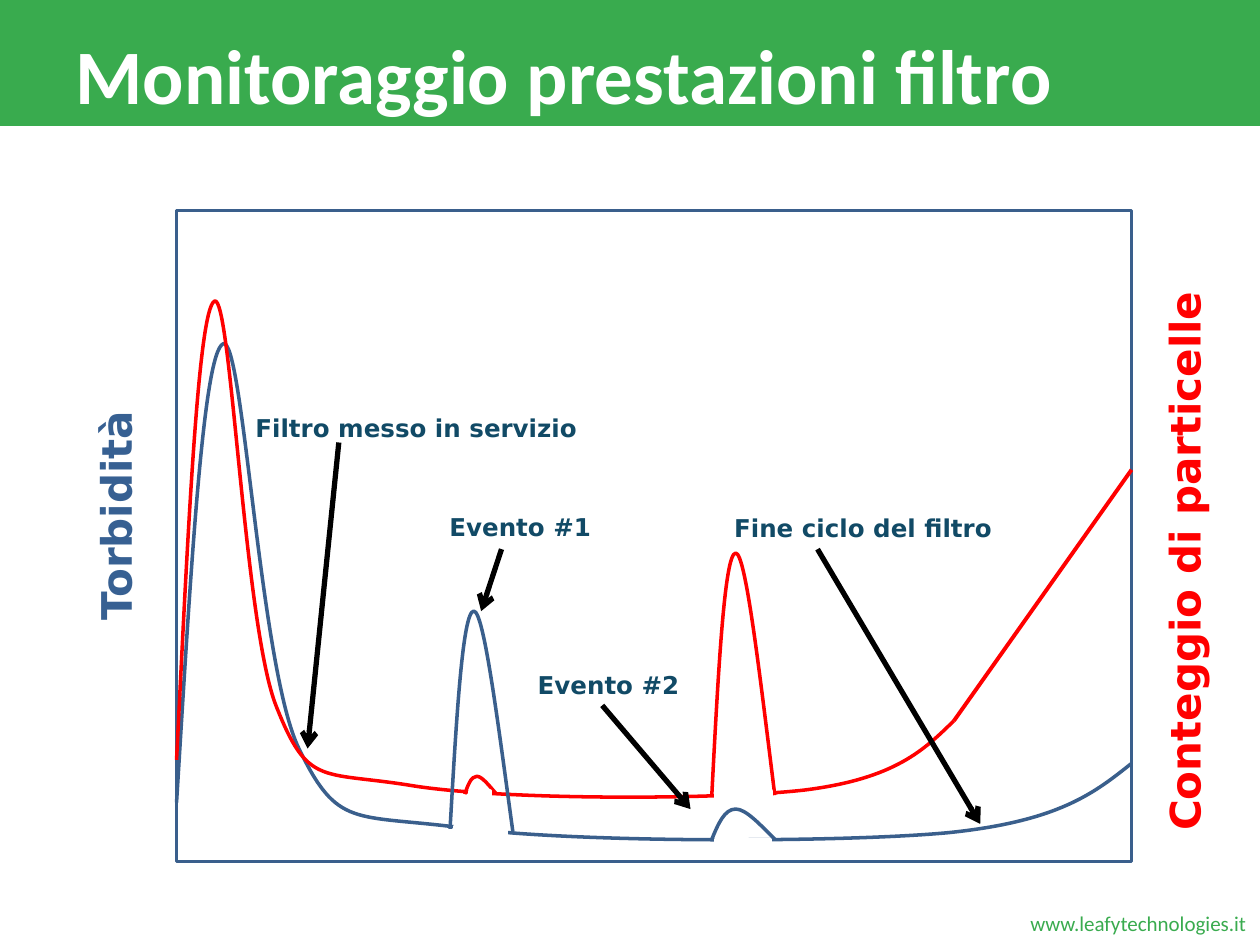
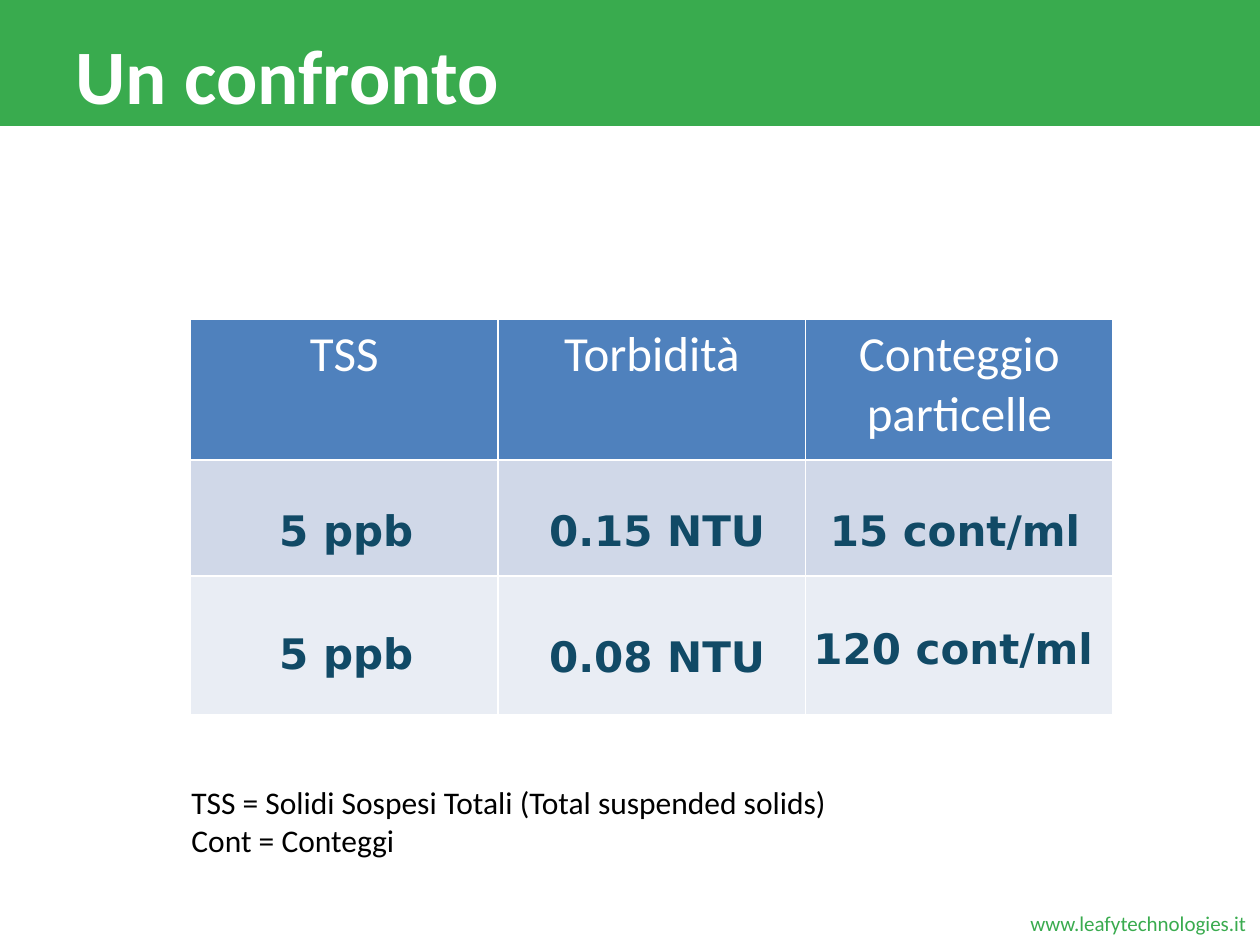
"""Build two slides on filter performance."""
import dataclasses

import lxml.etree
import pptx
import pptx.dml.color
import pptx.enum.shapes
import pptx.enum.text
import pptx.oxml.ns
import pptx.util

Cm = pptx.util.Cm
Pt = pptx.util.Pt
qn = pptx.oxml.ns.qn
Align = pptx.enum.text.PP_ALIGN
Anchor = pptx.enum.text.MSO_ANCHOR
Kind = pptx.enum.shapes.MSO_SHAPE


@dataclasses.dataclass(frozen=True)
class Theme:
    """Hold the colours, fonts and sizes."""
    green: str = "39AB4E"
    white: str = "FFFFFF"
    black: str = "000000"
    blue: str = "3A5F8C"
    axis: str = "376092"
    red: str = "FF0000"
    ink: str = "114A66"
    head: str = "4F81BD"
    bands: tuple = ("D0D8E8", "E9EDF4")
    sans: str = "Calibri"
    wide: str = "DejaVu Sans"
    title: int = 44
    cell: int = 28
    value: int = 24
    note: int = 18
    label: int = 14
    foot: int = 12
    line: float = 2
    trend: float = 2.25
    arrow: float = 3


T = Theme()

RUN = [(0, 92.39), (1.45, 46.95), (2.77, 1.78), (4.88, 0),
       (6.99, -1.78), (8.71, 65.23), (12.8, 81.47),
       (16.89, 97.72), (18.47, 94.67), (29.82, 97.46),
       (41.16, 100.51), (69.13, 100.51), (80.74, 98.48),
       (92.48, 96.19), (96.17, 90.36), (100, 84.52)]
BUMP = [(0, 100), (10, 50), (20, 0), (38, 0), (54, 0), (76, 50), (100, 100)]


def tint(code):
    """Return the colour for a hex code."""
    return pptx.dml.color.RGBColor.from_string(code)


def place(box):
    """Turn centimetres into lengths."""
    return [Cm(side) for side in box]


def write(frame, text, size=T.label, color=T.ink, font=T.wide, bold=False,
          align=Align.LEFT, space=None):
    """Fill a text frame, one paragraph per line of text."""
    frame.word_wrap = True
    for row, line in enumerate(text.split("\n")):
        para = frame.add_paragraph() if row else frame.paragraphs[0]
        para.alignment = align
        para.line_spacing = space
        run = para.add_run()
        run.text = line
        run.font.name = font
        run.font.size = Pt(size)
        run.font.bold = bold
        run.font.color.rgb = tint(color)


def label(slide, text, box, turn=0, **form):
    """Add a text box."""
    shape = slide.shapes.add_textbox(*place(box))
    shape.rotation = turn
    write(shape.text_frame, text, **form)
    return shape


def stroke(line, color, width):
    """Set the colour and width of a line."""
    line.color.rgb = tint(color)
    line.width = Pt(width)


def block(slide, box, fill=None, edge=None):
    """Add a plain rectangle."""
    shape = slide.shapes.add_shape(Kind.RECTANGLE, *place(box))
    shape.shadow.inherit = False
    if fill:
        shape.fill.solid()
        shape.fill.fore_color.rgb = tint(fill)
    else:
        shape.fill.background()
    if edge:
        stroke(shape.line, edge, T.line)
    else:
        shape.line.fill.background()
    return shape


def curve(slide, marks, box, color):
    """Draw a smooth line through percent marks of a box."""
    left, top, width, height = box
    spots = [(Cm(left + width * x / 100), Cm(top + height * y / 100))
             for x, y in marks]
    draft = slide.shapes.build_freeform(*spots[0])
    draft.add_line_segments(spots[1:], close=False)
    shape = draft.convert_to_shape()
    shape.shadow.inherit = False
    shape.fill.background()
    stroke(shape.line, color, T.line)
    trace = next(shape.element.iter(qn("a:path")))
    steps = trace.findall(qn("a:lnTo"))
    for start in range(0, len(steps), 3):
        bend = lxml.etree.SubElement(trace, qn("a:cubicBezTo"))
        for step in steps[start:start + 3]:
            bend.append(step[0])
            trace.remove(step)


def link(slide, ends, color, width, head=False):
    """Add a straight line, with an arrowhead if asked."""
    wire = slide.shapes.add_connector(
        pptx.enum.shapes.MSO_CONNECTOR.STRAIGHT, *place(ends))
    stroke(wire.line, color, width)
    if head:
        lxml.etree.SubElement(wire.line._get_or_add_ln(), qn("a:tailEnd"),
                              type="arrow")
    lxml.etree.SubElement(wire.element.spPr, qn("a:effectLst"))


def grid(slide, heads, left, top, wide, rows):
    """Add a table with a header and empty tinted rows."""
    table = slide.shapes.add_table(
        len(rows), len(heads),
        *place((left, top, wide * len(heads), sum(rows)))).table
    for col in table.columns:
        col.width = Cm(wide)
    fills = (T.head, *T.bands)
    for row, height in enumerate(rows):
        table.rows[row].height = Cm(height)
        for cell in table.rows[row].cells:
            cell.fill.solid()
            cell.fill.fore_color.rgb = tint(fills[row])
    for cell, head in zip(table.rows[0].cells, heads):
        write(cell.text_frame, head, size=T.cell, color=T.white,
              font=T.sans, align=Align.CENTER)


def dress(deck, layout):
    """Put the band, footer and title place on the layout."""
    for holder in list(layout.placeholders):
        if holder.placeholder_format.idx:
            holder.element.getparent().remove(holder.element)
    title = layout.placeholders[0]
    title.left, title.top, title.width, title.height = place(
        (1.27, 0.43, 23.5, 2.11))
    slide = deck.slides.add_slide(layout)
    band = block(slide, (-0.64, 0, 26.87, 2.54), fill=T.green)
    foot = label(slide, "www.leafytechnologies.it", (20.52, 18.24, 4.88, 0.79),
                 size=T.foot, color=T.green, font=T.sans)
    tree = layout.shapes.element
    tree.insert(2, band.element)
    tree.append(foot.element)
    return slide


def name(slide, text):
    """Write the slide title."""
    frame = slide.shapes.title.text_frame
    frame.vertical_anchor = Anchor.MIDDLE
    write(frame, text, size=T.title, color=T.white, font=T.sans, bold=True)


def plot(slide):
    """Draw the filter curves and their labels."""
    name(slide, "Monitoraggio prestazioni filtro")
    block(slide, (3.56, 4.24, 19.25, 13.13), edge=T.blue)
    curve(slide, RUN, (3.56, 6.93, 19.25, 10.01), T.blue)
    curve(slide, RUN, (3.56, 6.07, 15.67, 10.01), T.red)
    link(slide, (19.23, 14.53, 22.81, 9.47), T.red, T.trend)
    for text, box, color in (
            ("Conteggio di particelle", (17.53, 10.03, 12.67, 1.27), T.red),
            ("Torbidità", (-0.23, 9.55, 5.13, 1.3), T.axis)):
        label(slide, text, box, turn=270, size=T.value, color=color, bold=True)

    for box, color, mask in (
            ((9.07, 12.32, 1.27, 4.45), T.blue, (9.17, 16.66, 1.04, 0.2)),
            ((14.35, 11.15, 1.27, 4.88), T.red, (14.43, 15.95, 1.12, 0.3)),
            ((9.37, 15.65, 0.64, 0.36), T.red, (9.47, 15.95, 0.41, 0.3)),
            ((14.35, 16.31, 1.27, 0.61), T.blue, (14.43, 16.92, 1.09, 0.3))):
        curve(slide, BUMP, box, color)
        block(slide, mask, fill=T.white, edge=T.white)
    for left, top in ((8.84, 16.74), (15.42, 16.08)):
        block(slide, (left, top, 0.41, 0.3), fill=T.white, edge=T.white)

    for text, box, ends in (
            ("Filtro messo in servizio", (4.9, 7.9, 7.8, 1.04),
             (6.83, 8.92, 6.2, 15.09)),
            ("Evento #1", (8.81, 9.91, 6.91, 1.83),
             (10.11, 11.07, 9.7, 12.32)),
            ("Evento #2", (10.59, 13.08, 6.91, 1.83),
             (12.14, 14.22, 13.92, 16.31)),
            ("Fine ciclo del filtro", (14.55, 9.93, 6.91, 1.04),
             (16.48, 11.07, 19.76, 16.61))):
        link(slide, ends, T.black, T.arrow, head=True)
        label(slide, text, box, bold=True, space=1.5)


def compare(slide):
    """Lay out the table, its values and the key."""
    name(slide, "Un confronto")
    grid(slide, ("TSS", "Torbidità", "Conteggio\nparticelle"),
         3.84, 6.43, 6.2, (2.84, 2.34, 2.79))
    for text, left, top, width in (
            ("5 ppb", 5.38, 9.53, 4.47), ("5 ppb", 5.38, 12.01, 4.47),
            ("0.15 NTU", 10.82, 9.53, 5.33), ("0.08 NTU", 10.82, 12.07, 5.33),
            ("15 cont/ml", 16.48, 9.53, 6.07),
            ("120 cont/ml", 16.15, 11.91, 6.71)):
        label(slide, text, (left, top, width, 2.39), size=T.value, bold=True,
              space=1.5)
    label(slide, "TSS = Solidi Sospesi Totali (Total suspended solids)\n"
          "Cont = Conteggi", (3.61, 15.67, 16.51, 1.8),
          size=T.note, color=T.black, font=T.sans)


def main():
    """Build and save the deck."""
    deck = pptx.Presentation()
    deck.slide_width, deck.slide_height = Cm(25.4), Cm(19.05)
    layout = deck.slide_layouts[5]
    plot(dress(deck, layout))
    compare(deck.slides.add_slide(layout))
    deck.save("out.pptx")


if __name__ == "__main__":
    main()
